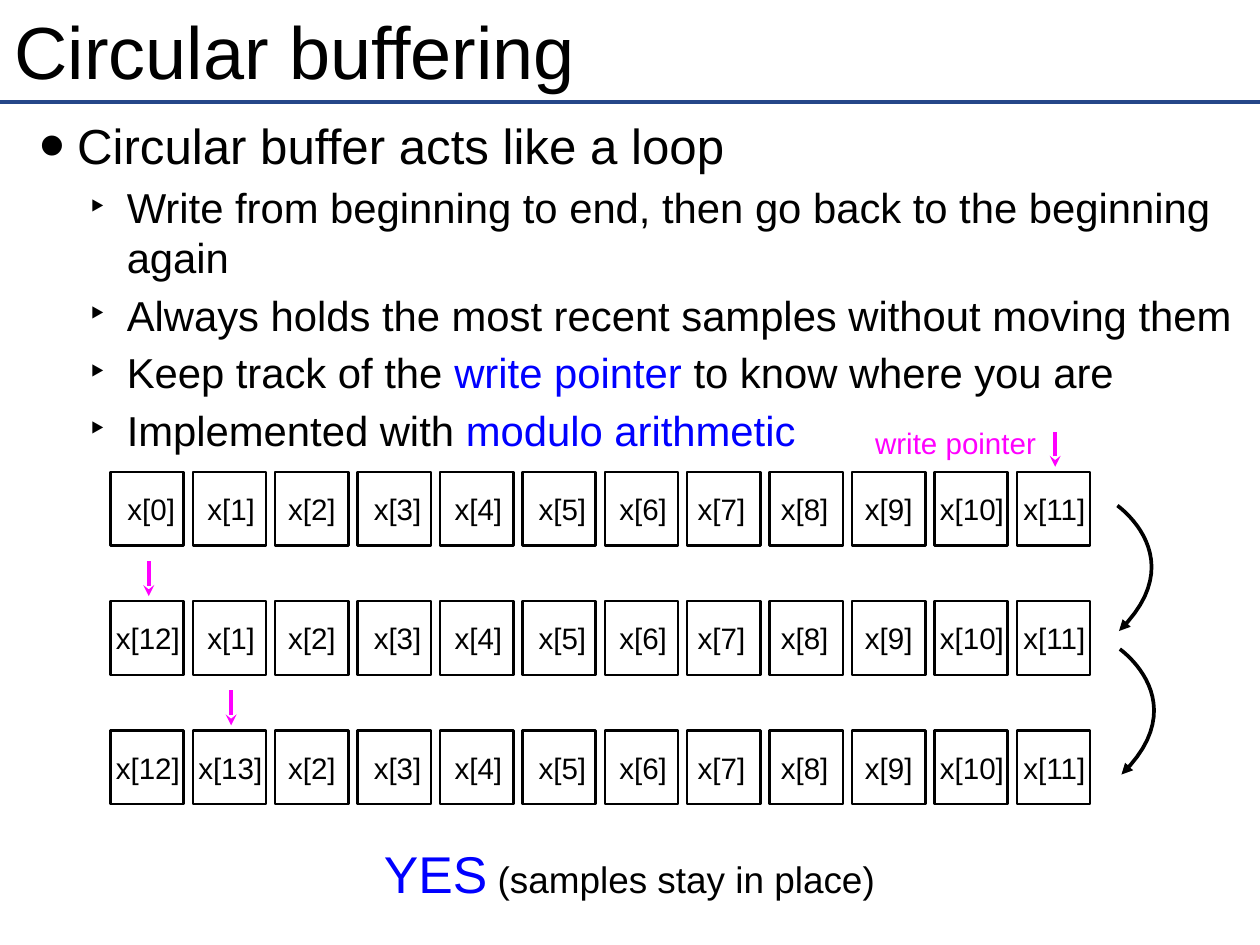
"""Build the circular buffering slide on a grid of buffer columns and rows."""
from dataclasses import dataclass

import lxml.etree
import pptx
import pptx.dml.color
import pptx.enum.shapes
import pptx.enum.text
import pptx.oxml.ns
import pptx.util

COLORS = {"text": "000000", "accent": "0000FF", "pointer": "FF00FF", "rule": "254789"}
FONT = "Arial"
SLIDE_WIDTH, SLIDE_HEIGHT = 14.22, 10.67
COLUMN, ROW = 0.93, 1.46
CELL_LEFT, CELL_TOP = 1.34, 3.65
CELL_WIDTH, CELL_HEIGHT = 0.89, 0.57
SHORT_LABEL_NUDGES = (0.05, 0.02, 0, 0.04, 0.02, 0.04, 0.02, -0.03, -0.02, 0)
CURVE_STEPS = 24


@dataclass(frozen=True)
class Area:
    left: float
    top: float
    width: float
    height: float


@dataclass(frozen=True)
class Run:
    text: str
    color: str = "text"
    size: float | None = None


@dataclass(frozen=True)
class Bullet:
    char: str
    level: int
    margin: float
    percent: int


@dataclass(frozen=True)
class Line:
    runs: tuple[Run, ...]
    size: float
    bullet: Bullet | None = None


@dataclass(frozen=True)
class BufferState:
    samples: tuple[int, ...]
    pointer_column: int


@dataclass(frozen=True)
class LoopArrow:
    left: float
    top: float


MAIN = Bullet("•", 0, 0.69, 150)
SUB = Bullet("‣", 1, 1.25, 100)
TITLE = (Line((Run("Circular buffering"),), 60),)
BODY = (
    Line((Run("Circular buffer acts like a loop"),), 40, MAIN),
    Line((Run("Write from beginning to end, then go back to the beginning again"),), 34, SUB),
    Line((Run("Always holds the most recent samples without moving them"),), 34, SUB),
    Line((Run("Keep track of the "), Run("write pointer", "accent"),
          Run(" to know where you are")), 34, SUB),
    Line((Run("Implemented with "), Run("modulo arithmetic", "accent")), 34, SUB),
)
CAPTION = (Line((Run("YES", "accent", 42), Run(" (samples stay in place)")), 30),)
POINTER_LABEL = (Line((Run("write pointer", "pointer"),), 24),)
STATES = (
    BufferState(tuple(range(12)), 11),
    BufferState((12, *range(1, 12)), 0),
    BufferState((12, 13, *range(2, 12)), 1),
)
LOOP_ARROWS = (LoopArrow(13.56, 3.91), LoopArrow(13.59, 5.02))


def across(columns: float) -> int:
    return pptx.util.Inches(columns * COLUMN)


def down(rows: float) -> int:
    return pptx.util.Inches(rows * ROW)


def rgb(name: str) -> pptx.dml.color.RGBColor:
    return pptx.dml.color.RGBColor.from_string(COLORS[name])


def add_child(parent, tag: str, **attributes: str):
    return lxml.etree.SubElement(parent, pptx.oxml.ns.qn(tag), attributes)


def add_bullet(paragraph, bullet: Bullet) -> None:
    properties = paragraph._p.get_or_add_pPr()
    properties.set("marL", str(pptx.util.Inches(bullet.margin)))
    properties.set("indent", str(pptx.util.Inches(-0.42)))
    add_child(properties, "a:buSzPct", val=str(bullet.percent * 1000))
    add_child(properties, "a:buFont", typeface=FONT)
    add_child(properties, "a:buChar", char=bullet.char)
    paragraph.level = bullet.level


def add_text(slide, area: Area, lines: tuple[Line, ...], anchor: str = "MIDDLE",
             centered: bool = True, inset: float = 0) -> None:
    shape = slide.shapes.add_textbox(across(area.left), down(area.top),
                                     across(area.width), down(area.height))
    frame = shape.text_frame
    frame.word_wrap = not centered
    frame.vertical_anchor = pptx.enum.text.MSO_ANCHOR[anchor]
    frame.margin_left = frame.margin_right = pptx.util.Inches(inset)
    frame.margin_top = frame.margin_bottom = pptx.util.Inches(inset)
    for index, line in enumerate(lines):
        paragraph = frame.add_paragraph() if index else frame.paragraphs[0]
        if index:
            paragraph.space_before = pptx.util.Pt(6)
        if centered:
            paragraph.alignment = pptx.enum.text.PP_ALIGN.CENTER
        if line.bullet:
            add_bullet(paragraph, line.bullet)
        paragraph.font.name = FONT
        paragraph.font.size = pptx.util.Pt(line.size)
        for item in line.runs:
            run = paragraph.add_run()
            run.text = item.text
            run.font.color.rgb = rgb(item.color)
            if item.size:
                run.font.size = pptx.util.Pt(item.size)


def style_line(shape, color: str, width: float) -> None:
    shape.line.color.rgb = rgb(color)
    shape.line.width = pptx.util.Pt(width)


def add_line(slide, start: tuple[int, int], end: tuple[int, int], color: str):
    connector = slide.shapes.add_connector(
        pptx.enum.shapes.MSO_CONNECTOR.STRAIGHT, *start, *end)
    style_line(connector, color, 3)
    add_child(connector._element.spPr, "a:effectLst")
    return connector


def add_cell(slide, left: float, top: float, sample: int, column: int) -> None:
    cell = slide.shapes.add_shape(
        pptx.enum.shapes.MSO_SHAPE.RECTANGLE, across(left), down(top),
        across(CELL_WIDTH), down(CELL_HEIGHT))
    cell.shadow.inherit = False
    cell.fill.background()
    style_line(cell, "text", 2)
    short = sample < 10
    width = 0.71 if short else 0.91
    nudge = SHORT_LABEL_NUDGES[column] if short else 0.01
    label = Area(left + (CELL_WIDTH - width) / 2 + nudge, top + (CELL_HEIGHT - 0.34) / 2,
                 width, 0.34)
    add_text(slide, label, (Line((Run(f"x[{sample}]"),), 24),))


def add_state(slide, state: BufferState, top: float) -> None:
    for column, sample in enumerate(state.samples):
        add_cell(slide, CELL_LEFT + column, top, sample, column)
    center = across(CELL_LEFT + state.pointer_column + CELL_WIDTH / 2 + 0.02)
    pointer = add_line(slide, (center, down(top - 0.04)), (center, down(top - 0.31)), "pointer")
    add_child(pointer.line._get_or_add_ln(), "a:headEnd", type="stealth")


def add_loop_arrow(slide, arrow: LoopArrow) -> None:
    points = []
    for step in range(CURVE_STEPS + 1):
        t = step / CURVE_STEPS
        bend, finish = 3 * (1 - t) * t ** 2, t ** 3
        points.append((across(arrow.left + 0.92 * bend + 0.02 * finish),
                       down(arrow.top + 0.41 * bend + 0.97 * finish)))
    builder = slide.shapes.build_freeform(*points[0])
    builder.add_line_segments(points[1:], close=False)
    shape = builder.convert_to_shape()
    shape.shadow.inherit = False
    shape.fill.background()
    style_line(shape, "text", 3)
    add_child(shape.line._get_or_add_ln(), "a:tailEnd", type="triangle")


def main() -> None:
    presentation = pptx.Presentation()
    presentation.slide_width = pptx.util.Inches(SLIDE_WIDTH)
    presentation.slide_height = pptx.util.Inches(SLIDE_HEIGHT)
    slide = presentation.slides.add_slide(presentation.slide_layouts[6])
    add_line(slide, (0, down(0.79)), (presentation.slide_width, down(0.79)), "rule")
    add_text(slide, Area(0.11, 0.04, 15.06, 0.69), TITLE, centered=False, inset=0.06)
    add_text(slide, Area(0.13, 0.85, 15.06, 6.4), BODY, "TOP", centered=False, inset=0.06)
    for row, state in enumerate(STATES):
        add_state(slide, state, CELL_TOP + row)
    for arrow in LOOP_ARROWS:
        add_loop_arrow(slide, arrow)
    add_text(slide, Area(10.55, 3.25, 2.09, 0.34), POINTER_LABEL)
    add_text(slide, Area(4.59, 6.49, 6.1, 0.52), CAPTION)
    presentation.save("out.pptx")


if __name__ == "__main__":
    main()
